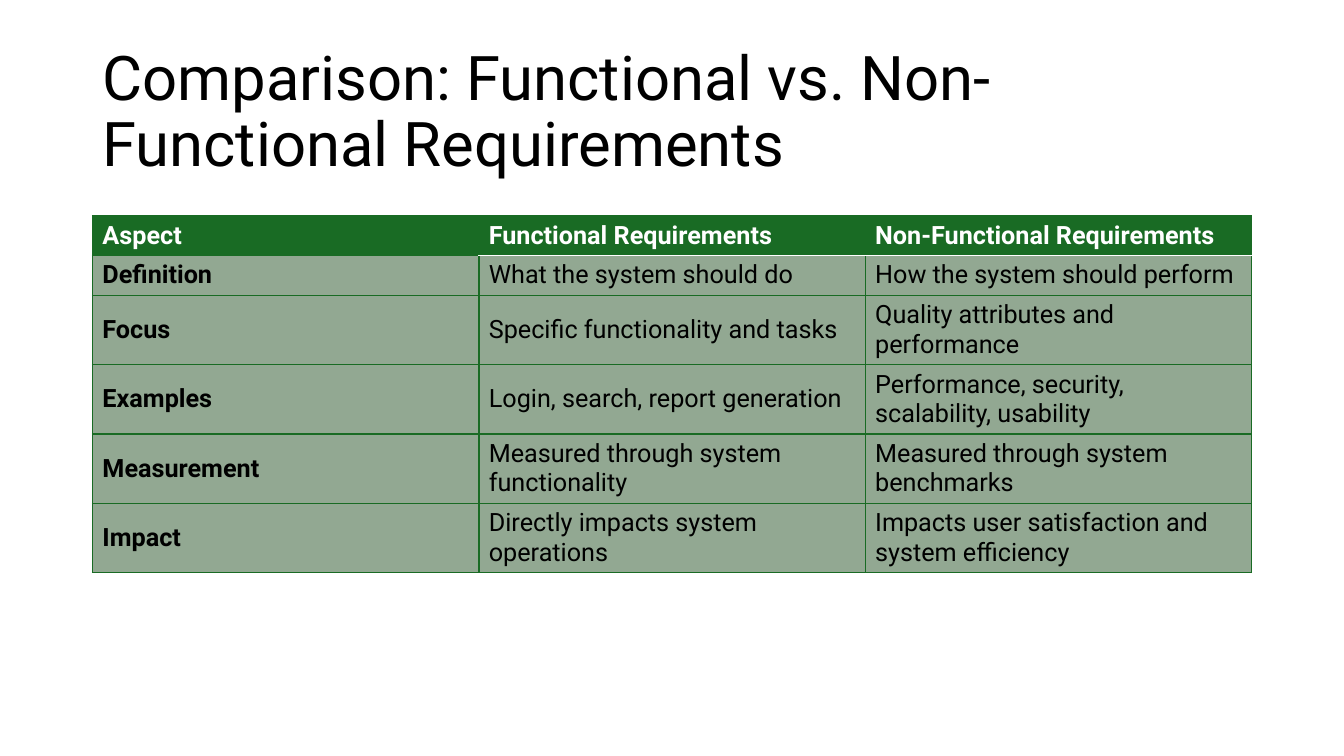
from pptx import Presentation
from pptx.dml.color import RGBColor
from pptx.enum.text import MSO_ANCHOR as Anchor, MSO_AUTO_SIZE as Fit, PP_ALIGN as Align
from pptx.oxml.ns import qn
from pptx.util import Pt
from lxml.etree import SubElement as Sub

GREEN = RGBColor(0x19, 0x6B, 0x24)
SAGE = RGBColor(0x92, 0xA8, 0x92)
WHITE = RGBColor(0xFF, 0xFF, 0xFF)
BLACK = RGBColor(0, 0, 0)
LEFT, WIDTH = Pt(66), Pt(828)


def add_text(para, text, size, color, bold=False):
    run = para.add_run()
    run.text = text
    font = run.font
    font.name, font.size, font.bold = "Roboto", Pt(size), bold
    font.color.rgb = color


def add_edge(cell, side, color, width):
    props = cell._tc.get_or_add_tcPr()
    line = Sub(props, qn("a:ln" + side), w=str(Pt(width)))
    fill = Sub(line, qn("a:solidFill"))
    Sub(fill, qn("a:srgbClr"), val=str(color))


deck = Presentation()
deck.slide_width, deck.slide_height = Pt(960), Pt(540)
slide = deck.slides.add_slide(deck.slide_layouts[5])

# Title
title = slide.shapes.title
title.left, title.top, title.width, title.height = LEFT, Pt(28.8), WIDTH, Pt(104.4)
frame = title.text_frame
frame.word_wrap = True
frame.auto_size = Fit.NONE
frame.vertical_anchor = Anchor.MIDDLE
para = frame.paragraphs[0]
para.alignment = Align.LEFT
para.line_spacing = 0.9
add_text(para, "Comparison: Functional vs. Non-Functional Requirements", 44, BLACK)

# Table content
rows = [
    ("Aspect", "Functional Requirements", "Non-Functional Requirements"),
    ("Definition", "What the system should do", "How the system should perform"),
    ("Focus", "Specific functionality and tasks", "Quality attributes and performance"),
    ("Examples", "Login, search, report generation",
     "Performance, security, scalability, usability"),
    ("Measurement", "Measured through system functionality",
     "Measured through system benchmarks"),
    ("Impact", "Directly impacts system operations",
     "Impacts user satisfaction and system efficiency"),
]
high = [28.5] * 2 + [49.5] * 4

# Table grid
table = slide.shapes.add_table(
    len(rows), 3, LEFT, Pt(154), WIDTH, Pt(sum(high))).table
for col in table.columns:
    col.width = Pt(276)

for r, texts in enumerate(rows):
    table.rows[r].height = Pt(high[r])
    head = r == 0
    for c, text in enumerate(texts):
        cell = table.cell(r, c)
        cell.vertical_anchor = Anchor.MIDDLE
        add_text(cell.text_frame.paragraphs[0], text, 18,
                 WHITE if head else BLACK, bold=head or c == 0)
        # Green edges, with a white rule under the last two headings
        rule = (WHITE, 1.5) if c > 0 else (GREEN, 1)
        add_edge(cell, "L", GREEN, 1.5 if c == 1 else 1)
        add_edge(cell, "R", GREEN, 1.5 if c == 0 else 1)
        add_edge(cell, "T", *(rule if r == 1 else (GREEN, 1)))
        add_edge(cell, "B", *(rule if head else (GREEN, 1)))
        cell.fill.solid()
        cell.fill.fore_color.rgb = GREEN if head else SAGE

deck.save("out.pptx")
